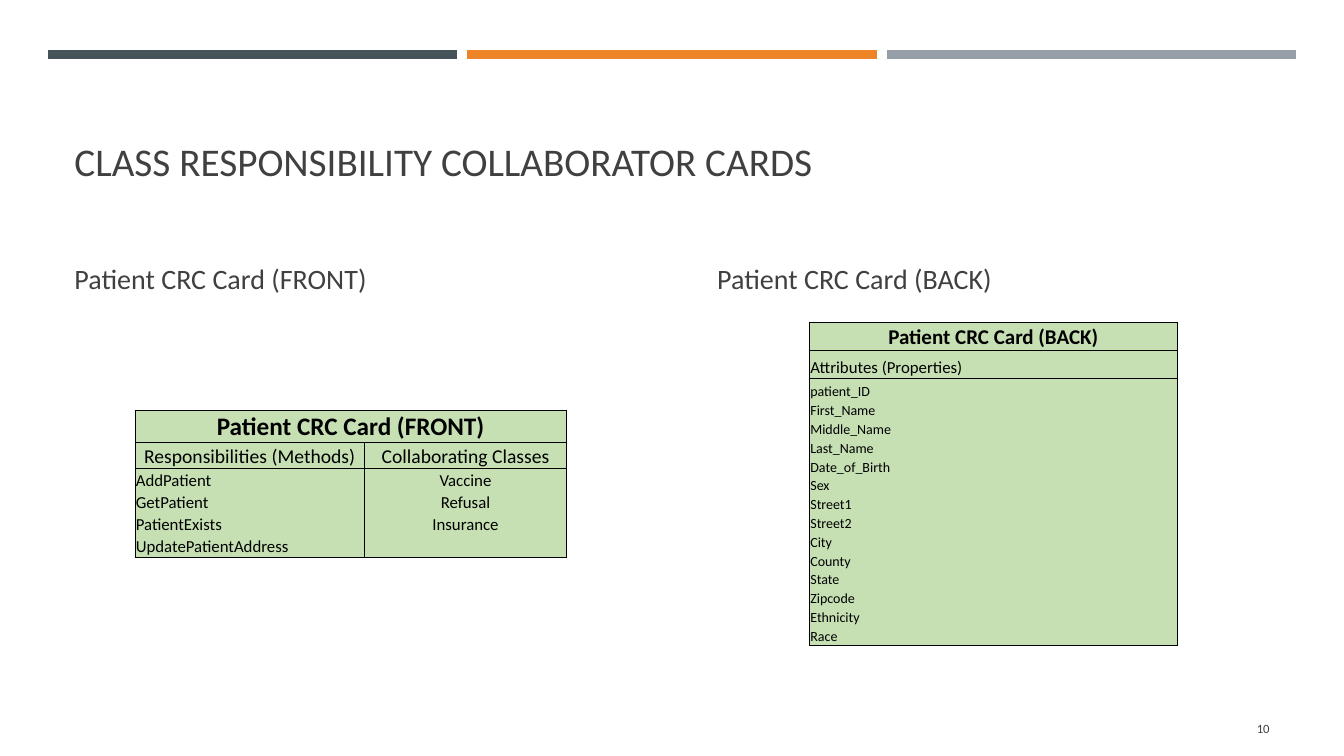
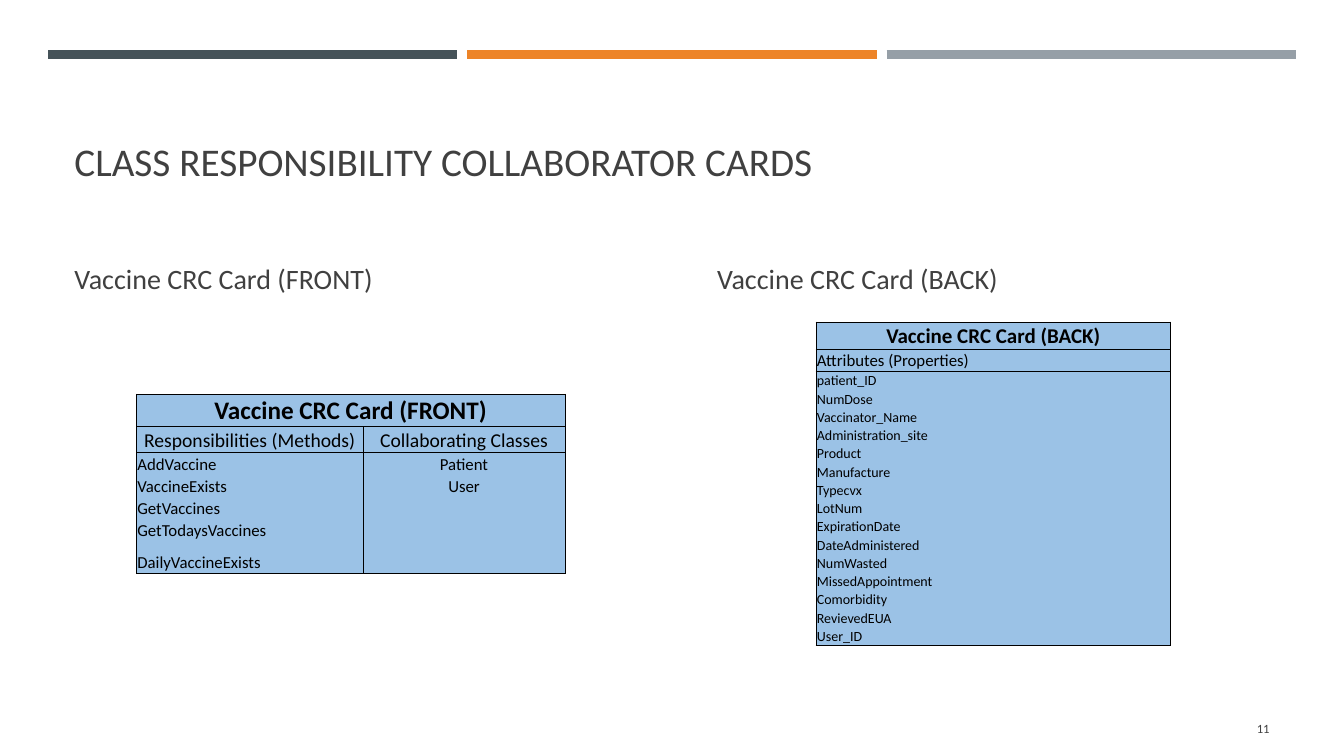
import lxml.etree
import pptx
import pptx.dml.color
import pptx.enum.shapes
import pptx.enum.text
import pptx.oxml.ns
import pptx.util

Inches = pptx.util.Inches
Pt = pptx.util.Pt
ALIGN = pptx.enum.text.PP_ALIGN
ANCHOR = pptx.enum.text.MSO_ANCHOR

FONT = "Calibri"
TEXT_COLOR = "404040"
CARD_INK = "000000"
BAND_COLORS = ("465359", "ED8428", "969FA7")

SLIDE_WIDTH, SLIDE_HEIGHT = 13.33, 7.5
BAND_MARGIN, BAND_GAP, BAND_TOP = 0.48, 0.1, 0.54
MARGIN = 0.64
COLUMN_GAP = 0.7
CONTENT_WIDTH = SLIDE_WIDTH - 2 * MARGIN
COLUMN_WIDTH = (CONTENT_WIDTH - COLUMN_GAP) / 2
CARD_MIDDLE = 4.8

TITLE = "CLASS RESPONSIBILITY COLLABORATOR CARDS"
METHOD_HEADINGS = ("Responsibilities (Methods)", "Collaborating Classes")

# Attributes map each name to the number of columns it spans.
CLASSES = (
    {
        "name": "Patient",
        "fill": "C6E0B4",
        "page": 10,
        "methods": ("AddPatient", "GetPatient", "PatientExists", "UpdatePatientAddress"),
        "collaborators": ("Vaccine", "Refusal", "Insurance"),
        "front": {"widths": (2.28, 2), "height": 1.46, "fixed": {0: 0.32, 1: 0.26}},
        "attributes": {
            "patient_ID": 2, "First_Name": 2, "Middle_Name": 2, "Last_Name": 2,
            "Date_of_Birth": 2, "Sex": 1, "Street1": 1, "Street2": 1, "City": 1,
            "County": 1, "State": 1, "Zipcode": 1, "Ethnicity": 1, "Race": 1,
        },
        "back": {"widths": (0.57, 0.57, 0.8, 0.57, 0.57, 0.57), "height": 3.21,
                 "fixed": {0: 0.28, 1: 0.28, 2: 0.22}},
    },
    {
        "name": "Vaccine",
        "fill": "9BC2E6",
        "page": 11,
        "methods": ("AddVaccine", "VaccineExists", "GetVaccines", "GetTodaysVaccines",
                    "DailyVaccineExists"),
        "collaborators": ("Patient", "User"),
        "front": {"widths": (2.25, 2), "height": 1.78,
                  "fixed": {0: 0.32, 1: 0.26, 6: 0.32}},
        "attributes": {
            "patient_ID": 2, "NumDose": 2, "Vaccinator_Name": 2,
            "Administration_site": 3, "Product": 1, "Manufacture": 2, "Typecvx": 1,
            "LotNum": 1, "ExpirationDate": 2, "DateAdministered": 2, "NumWasted": 2,
            "MissedAppointment": 3, "Comorbidity": 2, "RevievedEUA": 2, "User_ID": 1,
        },
        "back": {"widths": (0.55, 0.55, 0.77, 0.55, 0.55, 0.55), "height": 3.21,
                 "fixed": {0: 0.27, 1: 0.22}},
    },
)


def rgb(color):
    return pptx.dml.color.RGBColor.from_string(color)


def add_element(parent, tag, **attributes):
    return lxml.etree.SubElement(parent, pptx.oxml.ns.qn(tag), **attributes)


def format_paragraph(paragraph, size, color, align=ALIGN.LEFT, bold=False):
    paragraph.alignment = align
    for run in paragraph.runs:
        run.font.name = FONT
        run.font.size = Pt(size)
        run.font.bold = bold
        run.font.color.rgb = rgb(color)


def add_text(slide, text, left, top, width, height, size,
             anchor=ANCHOR.MIDDLE, align=ALIGN.LEFT):
    box = slide.shapes.add_textbox(*map(Inches, (left, top, width, height)))
    frame = box.text_frame
    frame.word_wrap = True
    frame.vertical_anchor = anchor
    frame.text = text
    format_paragraph(frame.paragraphs[0], size, TEXT_COLOR, align)
    return frame.paragraphs[0]


def add_bands(slide):
    count = len(BAND_COLORS)
    width = (SLIDE_WIDTH - 2 * BAND_MARGIN - (count - 1) * BAND_GAP) / count
    for index, color in enumerate(BAND_COLORS):
        left = BAND_MARGIN + index * (width + BAND_GAP)
        band = slide.shapes.add_connector(
            pptx.enum.shapes.MSO_CONNECTOR.STRAIGHT,
            *map(Inches, (left, BAND_TOP, left + width, BAND_TOP)))
        band.line.color.rgb = rgb(color)
        band.line.width = Pt(6.5)
        add_element(band._element.spPr, "a:effectLst")


def set_borders(cell, edges):
    """Draw the edges named in a string of L, R, T and B; clear the others."""
    properties = cell._tc.get_or_add_tcPr()
    for edge in "LRTB":
        line = add_element(properties, "a:ln" + edge, w=str(Pt(0.5)))
        if edge in edges:
            fill = add_element(line, "a:solidFill")
            add_element(fill, "a:srgbClr", val=CARD_INK)
        else:
            add_element(line, "a:noFill")


def fill_cell(cell, text, size, color, edges, align, bold):
    cell.margin_left = cell.margin_right = cell.margin_top = Inches(0.01)
    cell.margin_bottom = 0
    cell.vertical_anchor = ANCHOR.BOTTOM
    set_borders(cell, edges)
    cell.fill.solid()
    cell.fill.fore_color.rgb = rgb(color)
    paragraph = cell.text_frame.paragraphs[0]
    if text:
        paragraph.text = text
        format_paragraph(paragraph, size, CARD_INK, align, bold)
    else:
        add_element(paragraph._p, "a:endParaRPr", sz=str(size * 100))


def cell_edges(row, column, row_count, column_count, divided):
    if row < 2:
        return "LRTB"
    return "".join((
        "L" if divided or column == 0 else "",
        "R" if divided or column == column_count - 1 else "",
        "T" if row == 2 else "",
        "B" if row == row_count - 1 else ""))


def add_card(slide, column_left, rows, spans, layout, color, sizes, divided):
    """Add a card centred in its column: a title row, a heading row, then the body.

    Rows without a fixed height share what is left; sizes are for these three parts.
    """
    widths, height, fixed = layout["widths"], layout["height"], layout["fixed"]
    left = column_left + (COLUMN_WIDTH - sum(widths)) / 2
    frame = slide.shapes.add_table(
        len(rows), len(widths),
        *map(Inches, (left, CARD_MIDDLE - height / 2, sum(widths), height)))
    table = frame.table
    table.first_row = table.horz_banding = False
    for column, width in zip(table.columns, widths):
        column.width = Inches(width)
    shared_height = (height - sum(fixed.values())) / (len(rows) - len(fixed))

    for row, texts in enumerate(rows):
        table.rows[row].height = Inches(fixed.get(row, shared_height))
        for column in range(len(widths)):
            centred = row == 0 or (divided and (row == 1 or column == 1))
            fill_cell(
                table.cell(row, column),
                texts[column] if column < len(texts) else "",
                sizes[min(row, 2)], color,
                cell_edges(row, column, len(rows), len(widths), divided),
                ALIGN.CENTER if centred else ALIGN.LEFT, bold=row == 0)
        if spans[row] > 1:
            table.cell(row, 0).merge(table.cell(row, spans[row] - 1))


def add_front(slide, left, title, crc):
    collaborators = crc["collaborators"]
    missing = len(crc["methods"]) - len(collaborators)
    body = list(zip(crc["methods"], collaborators + ("",) * missing))
    rows = [(title,), METHOD_HEADINGS] + body
    spans = [2] + [1] * (len(rows) - 1)
    add_card(slide, left, rows, spans, crc["front"], crc["fill"], (18, 14, 12), True)


def add_back(slide, left, title, crc):
    attributes = crc["attributes"]
    rows = [(title,), ("Attributes (Properties)",)] + [(name,) for name in attributes]
    spans = [6, 6] + list(attributes.values())
    add_card(slide, left, rows, spans, crc["back"], crc["fill"], (15, 12, 10), False)


def add_class_slide(presentation, crc):
    slide = presentation.slides.add_slide(presentation.slide_layouts[6])
    add_bands(slide)
    add_text(slide, TITLE, MARGIN, 0.8, CONTENT_WIDTH, 1.08, 28, ANCHOR.BOTTOM)
    for index, (side, add_side) in enumerate((("FRONT", add_front), ("BACK", add_back))):
        left = MARGIN + index * (COLUMN_WIDTH + COLUMN_GAP)
        title = f"{crc['name']} CRC Card ({side})"
        heading = add_text(slide, title, left, 2.46, COLUMN_WIDTH, 0.61, 20)
        heading.space_before = Pt(4)
        heading.space_after = Pt(6)
        add_side(slide, left, title, crc)
    number_width = 1.15
    add_text(slide, str(crc["page"]), SLIDE_WIDTH - MARGIN - number_width, 7.03,
             number_width, 0.4, 9, align=ALIGN.RIGHT)


def main():
    presentation = pptx.Presentation()
    presentation.slide_width = Inches(SLIDE_WIDTH)
    presentation.slide_height = Inches(SLIDE_HEIGHT)
    for crc in CLASSES:
        add_class_slide(presentation, crc)
    presentation.save("out.pptx")


if __name__ == "__main__":
    main()
